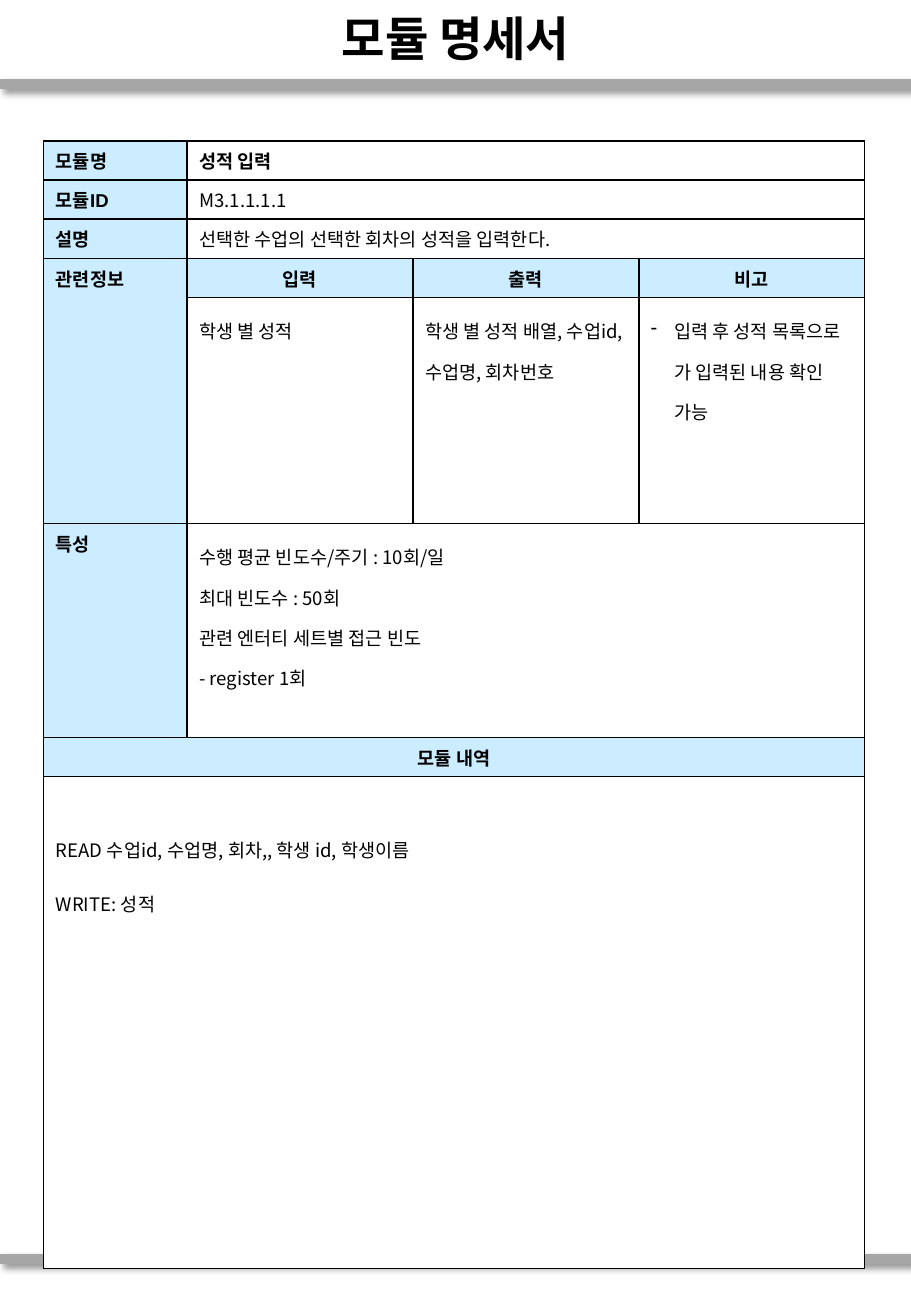
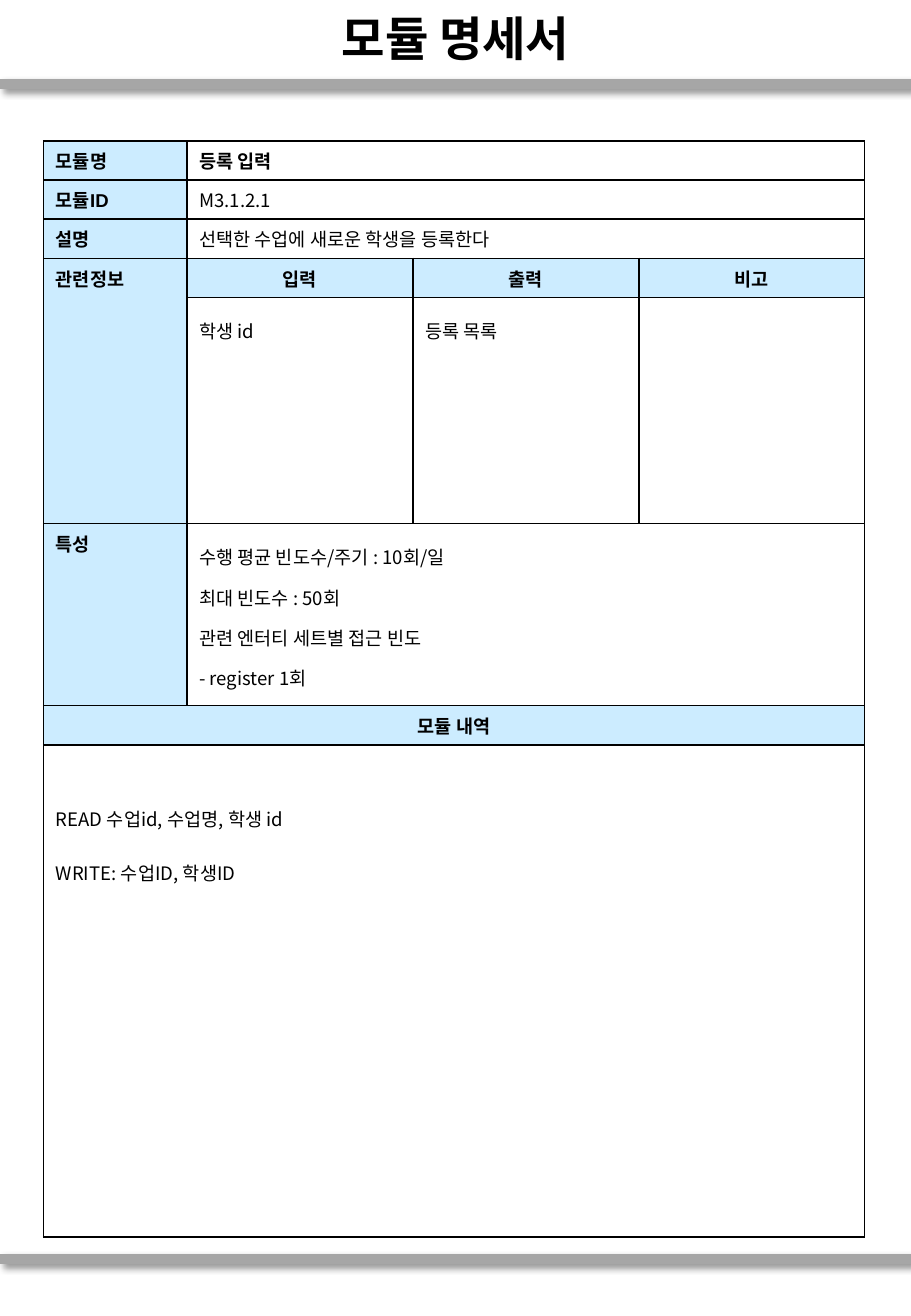
from dataclasses import dataclass

from lxml import etree
from pptx import Presentation
from pptx.dml.color import RGBColor
from pptx.enum.shapes import MSO_CONNECTOR
from pptx.enum.text import MSO_ANCHOR, MSO_AUTO_SIZE, PP_ALIGN
from pptx.oxml import parse_xml
from pptx.oxml.ns import qn
from pptx.util import Inches, Pt

CENTER = PP_ALIGN.CENTER
MIDDLE = MSO_ANCHOR.MIDDLE
NO_FIT = MSO_AUTO_SIZE.NONE
STRAIGHT = MSO_CONNECTOR.STRAIGHT
NS = 'xmlns:a="http://schemas.openxmlformats.org/drawingml/2006/main"'


@dataclass
class Theme:
    ink: str = "000000"
    paper: str = "FFFFFF"
    label: str = "CCECFF"
    band: str = "A6A6A6"
    body_font: str = "Noto Sans CJK KR"
    label_font: str = "Arial"
    title_size: int = 28
    body_size: int = 11
    band_width: int = 6
    border_width: int = 1


theme = Theme()
WIDTH, HEIGHT = 7.5, 10.83
TABLE_LEFT, TABLE_TOP = 0.36, 1.16
COLUMNS = [1.18] + [1.86] * 3
LINE_ROW = 0.32
BULLET_INDENT = Inches(0.19)
BLANK_LINE = 0.22

modules = [
    {
        "name": "성적 입력",
        "id": "M3.1.1.1.1",
        "about": "선택한 수업의 선택한 회차의 성적을 입력한다.",
        "input": "학생 별 성적",
        "output": "학생 별 성적 배열, 수업id, 수업명, 회차번호",
        "note": "입력 후 성적 목록으로 가 입력된 내용 확인 가능",
        "traits_height": 1.76,
        "steps": ["READ 수업id, 수업명, 회차,, 학생 id, 학생이름", "WRITE: 성적"],
    },
    {
        "name": "등록 입력",
        "id": "M3.1.2.1",
        "about": "선택한 수업에 새로운 학생을 등록한다",
        "input": "학생 id",
        "output": "등록 목록",
        "note": "",
        "traits_height": 1.5,
        "steps": ["READ 수업id, 수업명, 학생 id", "WRITE: 수업ID, 학생ID"],
    },
]
traits = [
    "수행 평균 빈도수/주기 : 10회/일",
    "최대 빈도수 : 50회",
    "관련 엔터티 세트별 접근 빈도",
    "- register 1회",
]
labels = [
    (0, 0, "모듈명"),
    (1, 0, "모듈ID"),
    (2, 0, "설명"),
    (3, 0, "관련정보"),
    (5, 0, "특성"),
]
headings = [(3, 1, "입력"), (3, 2, "출력"), (3, 3, "비고"), (6, 0, "모듈 내역")]
merges = [(row, 1, row, 3) for row in (0, 1, 2, 5)]
merges += [(row, 0, row, 3) for row in (6, 7)] + [(3, 0, 4, 0)]


def add_run(p, text, font, size, bold):
    r = p.add_run()
    r.text = text
    r.font.name = font
    r.font.size = Pt(size)
    r.font.bold = bold
    r.font.color.rgb = RGBColor.from_string(theme.ink)
    etree.SubElement(r.font._element, qn("a:ea"), typeface=theme.body_font)


def write_cell(cell, lines, font=theme.body_font, bold=False, spacing=None, align=None):
    tf = cell.text_frame
    for i, line in enumerate(lines):
        p = tf.add_paragraph() if i else tf.paragraphs[0]
        p.alignment = align
        p.line_spacing = spacing
        add_run(p, line, font, theme.body_size, bold)


prs = Presentation()
prs.slide_width, prs.slide_height = Inches(WIDTH), Inches(HEIGHT)
layout = prs.slide_layouts[5]
for ph in list(layout.placeholders)[1:]:
    ph.element.getparent().remove(ph.element)

for number, module in enumerate(modules):
    s = prs.slides.add_slide(layout)

    if number == 0:
        for i, y in enumerate((0.69, 10.36)):
            band = s.shapes.add_connector(
                STRAIGHT, 0, Inches(y), prs.slide_width, Inches(y)
            )
            band.line.color.rgb = RGBColor.from_string(theme.band)
            band.line.width = Pt(theme.band_width)
            band.element.spPr.append(parse_xml(
                f'<a:effectLst {NS}><a:outerShdw blurRad="{Pt(4)}" dist="{Pt(3)}" '
                f'dir="2700000" algn="tl" rotWithShape="0"><a:srgbClr val="{theme.ink}">'
                '<a:alpha val="40000"/></a:srgbClr></a:outerShdw></a:effectLst>'
            ))
            band.element.nvCxnSpPr.cNvPr.id = 20 + i
            layout.shapes.element.append(band.element)

    title = s.shapes.title
    title.left, title.top = 0, Inches(0.01)
    title.width, title.height = prs.slide_width, Inches(0.6)
    tf = title.text_frame
    tf.auto_size = NO_FIT
    tf.vertical_anchor = MIDDLE
    p = tf.paragraphs[0]
    p.alignment = CENTER
    add_run(p, "모듈 명세서", theme.body_font, theme.title_size, True)

    rows = [LINE_ROW] * 4 + [1.86, module["traits_height"], LINE_ROW, 4.05]
    frame = s.shapes.add_table(
        len(rows), len(COLUMNS), Inches(TABLE_LEFT), Inches(TABLE_TOP),
        Inches(sum(COLUMNS)), Inches(sum(rows)),
    )
    table = frame.table
    table.first_row = table.horz_banding = False
    for column, width in zip(table.columns, COLUMNS):
        column.width = Inches(width)
    for row, height in zip(table.rows, rows):
        row.height = Inches(height)

    for r in range(len(rows)):
        for c in range(len(COLUMNS)):
            cell = table.cell(r, c)
            shaded = c == 0 and r != 7 or r in (3, 6)
            cell.fill.solid()
            cell.fill.fore_color.rgb = RGBColor.from_string(
                theme.label if shaded else theme.paper
            )
            tcPr = cell._tc.get_or_add_tcPr()
            for i, side in enumerate("LRTB"):
                tcPr.insert(i, parse_xml(
                    f'<a:ln{side} {NS} w="{Pt(theme.border_width)}"><a:solidFill>'
                    f'<a:srgbClr val="{theme.ink}"/></a:solidFill></a:ln{side}>'
                ))
    for top, left, bottom, right in merges:
        table.cell(top, left).merge(table.cell(bottom, right))

    for r, c, text in labels:
        write_cell(table.cell(r, c), [text], theme.label_font, True)
    for r, c, text in headings:
        write_cell(table.cell(r, c), [text], theme.label_font, True, align=CENTER)

    write_cell(table.cell(0, 1), [module["name"]], bold=True)
    write_cell(table.cell(1, 1), [module["id"]])
    write_cell(table.cell(2, 1), [module["about"]])
    for c, key in enumerate(("input", "output", "note"), 1):
        if module[key]:
            write_cell(table.cell(4, c), [module[key]], spacing=1.5)
    if module["note"]:
        pPr = table.cell(4, 3).text_frame.paragraphs[0]._p.get_or_add_pPr()
        pPr.set("marL", str(BULLET_INDENT))
        pPr.set("indent", str(-BULLET_INDENT))
        etree.SubElement(pPr, qn("a:buChar"), char="-")
    write_cell(table.cell(5, 1), traits, spacing=1.5)

    details = table.cell(7, 0)
    details.margin_top = Inches(0.05 + BLANK_LINE)
    write_cell(details, module["steps"], spacing=2.0)

prs.save("out.pptx")
